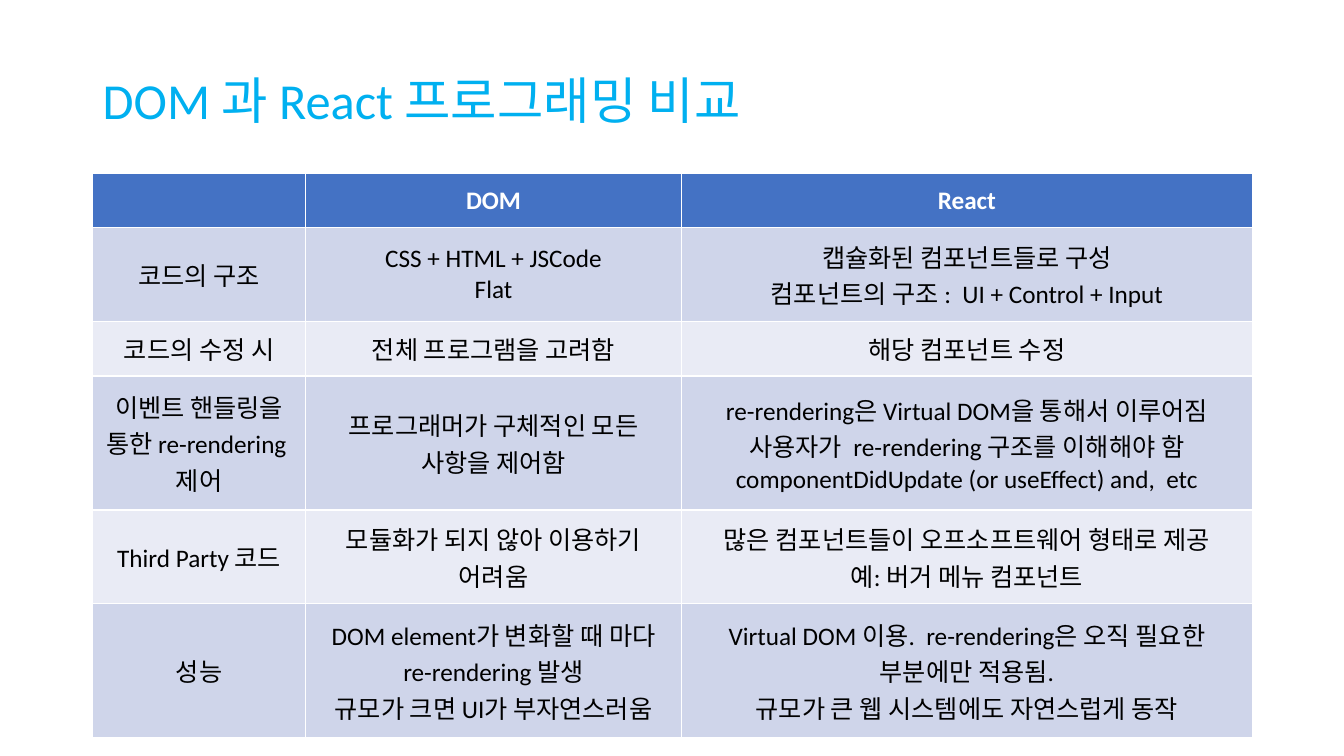
from typing import NamedTuple

from pptx import Presentation
from pptx.dml.color import RGBColor
from pptx.enum.text import MSO_ANCHOR as Anchor, PP_ALIGN as Align
from pptx.util import Inches, Pt

FONT = "Calibri"
TITLE_BLUE, HEADER_BLUE = "00B0F0", "4472C4"
WHITE, BLACK = "FFFFFF", "000000"
BANDS = ("CFD5EA", "E9EBF5")
COL_WIDTHS = (2.11, 3.73, 5.66)


class Row(NamedTuple):
    height: float
    topic: str
    dom: str
    react: str


HEADER = Row(0.54, "", "DOM", "React")
COMPARISONS = [
    Row(0.93, "코드의 구조", "CSS + HTML + JSCode\nFlat",
        "캡슐화된 컴포넌트들로 구성\n컴포넌트의 구조 :  UI + Control + Input"),
    Row(0.54, "코드의 수정 시", "전체 프로그램을 고려함", "해당 컴포넌트 수정"),
    Row(1.33, "이벤트 핸들링을 통한 re-rendering  제어",
        "프로그래머가 구체적인 모든 사항을 제어함",
        "re-rendering은 Virtual DOM을 통해서 이루어짐\n"
        "사용자가  re-rendering 구조를 이해해야 함\n"
        "componentDidUpdate (or useEffect) and,  etc"),
    Row(0.93, "Third Party 코드", "모듈화가 되지 않아 이용하기 어려움",
        "많은 컴포넌트들이 오프소프트웨어 형태로 제공\n예: 버거 메뉴 컴포넌트"),
    Row(1.33, "성능",
        "DOM element가 변화할 때 마다 re-rendering 발생\n"
        "규모가 크면 UI가 부자연스러움",
        "Virtual DOM 이용.  re-rendering은 오직 필요한 부분에만 적용됨.\n"
        "규모가 큰 웹 시스템에도 자연스럽게 동작"),
]


def rgb(color: str) -> RGBColor:
    return RGBColor.from_string(color)


def write(tf, text: str, *, size: float = 18, color: str = BLACK,
          bold: bool = False, align=Align.CENTER, spacing: float = 1.0) -> None:
    """Fill a text frame, one paragraph per line of text."""
    tf.word_wrap = True
    for i, line in enumerate(text.split("\n")):
        p = tf.paragraphs[0] if i == 0 else tf.add_paragraph()
        p.alignment, p.line_spacing = align, spacing
        font = p.font
        if line:
            r = p.add_run()
            r.text, font = line, r.font
        font.name, font.size, font.bold = FONT, Pt(size), bold
        font.color.rgb = rgb(color)


def fill_row(table, index: int, row: Row, fill: str, **fmt) -> None:
    table.rows[index].height = Inches(row.height)
    for cell, text in zip(table.rows[index].cells, row[1:]):
        cell.fill.solid()
        cell.fill.fore_color.rgb = rgb(fill)
        cell.vertical_anchor = Anchor.MIDDLE
        write(cell.text_frame, text, **fmt)


prs = Presentation()
prs.slide_width, prs.slide_height = Inches(13.33), Inches(7.5)
s = prs.slides.add_slide(prs.slide_layouts[6])

# Title
title = s.shapes.add_textbox(Inches(0.92), Inches(0.3), Inches(11.5), Inches(1.45))
title.text_frame.vertical_anchor = Anchor.MIDDLE
write(title.text_frame, "DOM 과 React 프로그래밍 비교", size=36,
      color=TITLE_BLUE, align=Align.LEFT, spacing=0.9)

# Comparison table; its default style draws the white cell borders
rows = [HEADER, *COMPARISONS]
table = s.shapes.add_table(
    len(rows), len(COL_WIDTHS), Inches(0.92), Inches(1.72),
    Inches(sum(COL_WIDTHS)), Inches(sum(row.height for row in rows))).table
for column, width in zip(table.columns, COL_WIDTHS):
    column.width = Inches(width)

fill_row(table, 0, HEADER, HEADER_BLUE, color=WHITE, bold=True)
for i, row in enumerate(COMPARISONS):
    fill_row(table, i + 1, row, BANDS[i % 2])

prs.save("out.pptx")
